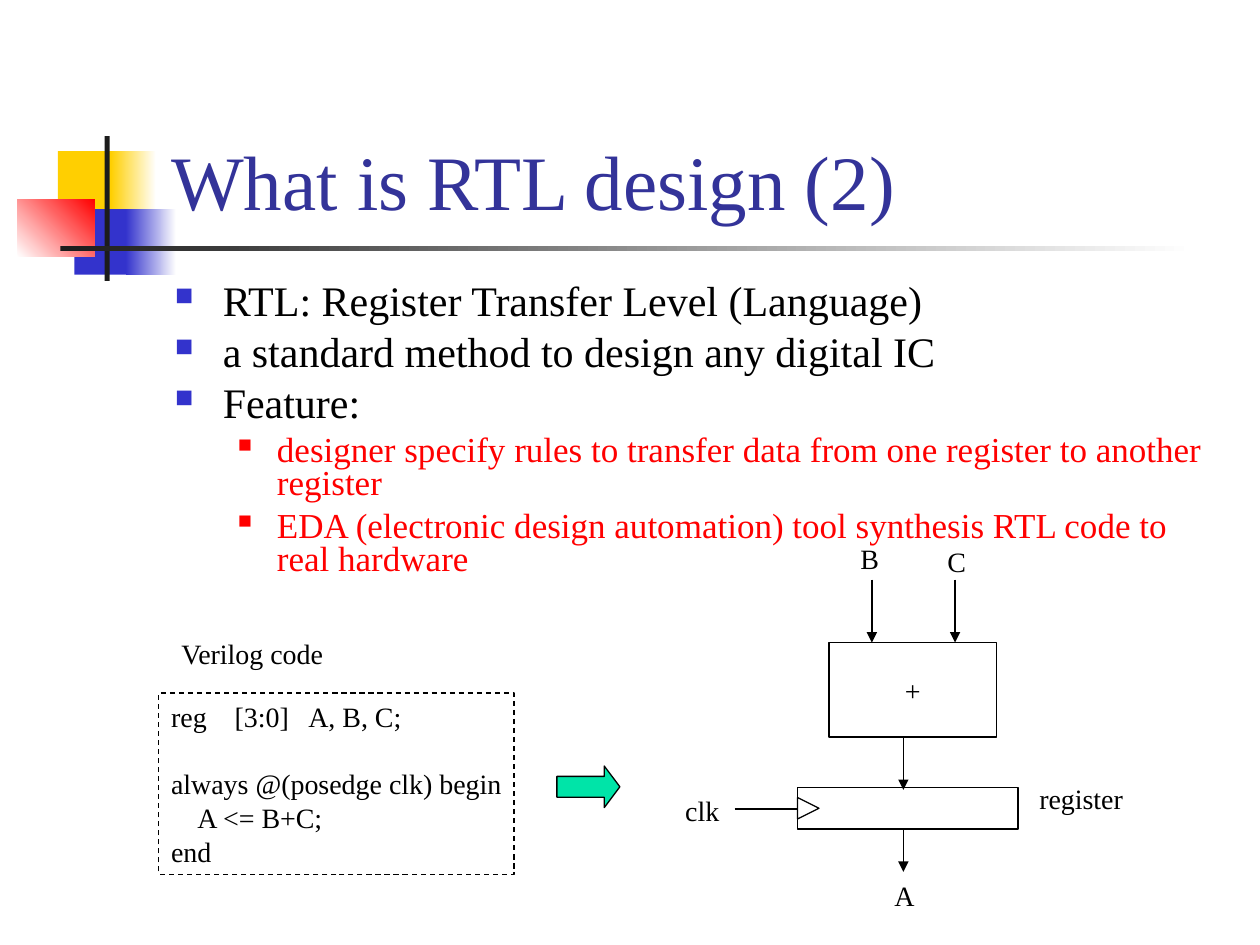
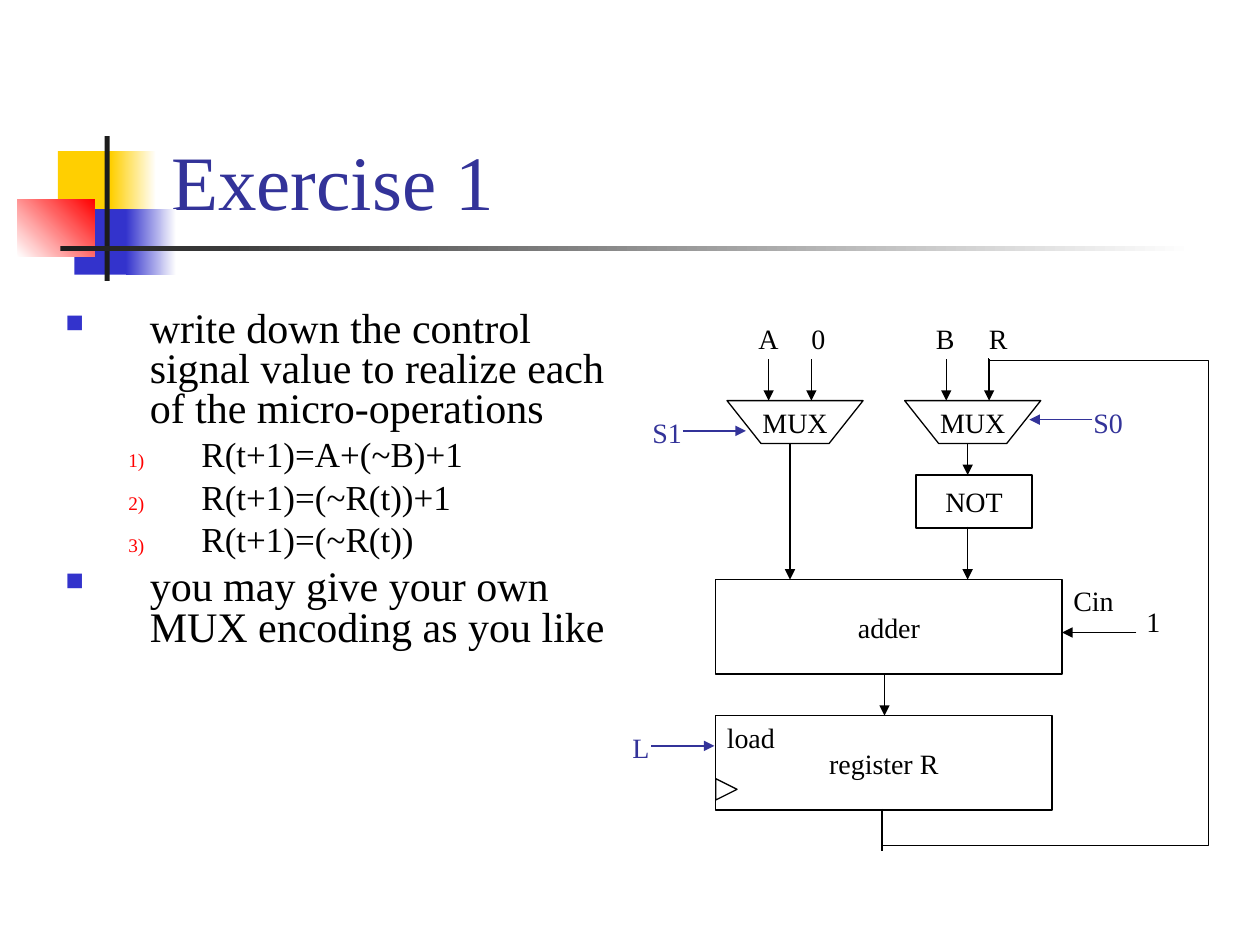
from dataclasses import dataclass
from typing import Optional

from lxml import etree
from pptx import Presentation
from pptx import util as u
from pptx.dml.color import RGBColor
from pptx.enum import dml, shapes, text
from pptx.oxml.ns import qn

FONT = "Times New Roman"
BLACK = RGBColor(0x00, 0x00, 0x00)
WHITE = RGBColor(0xFF, 0xFF, 0xFF)
CHARCOAL = RGBColor(0x1C, 0x1C, 0x1C)
YELLOW = RGBColor(0xFF, 0xCF, 0x01)
BLUE = RGBColor(0x33, 0x33, 0xCC)
RED = RGBColor(0xFF, 0x00, 0x00)
NAVY = RGBColor(0x33, 0x33, 0x99)
GREEN = RGBColor(0x00, 0xE4, 0xA8)
LINE_WIDTH = u.Pt(0.75)
LABEL_HEIGHT = 0.37
CLOCK_SIZE = 0.17


@dataclass(frozen=True)
class BandPart:
    left: float
    top: float
    width: float
    height: float
    color: RGBColor
    fade_to: Optional[RGBColor] = None
    angle: int = 0


@dataclass(frozen=True)
class Block:
    left: float
    top: float
    width: float
    height: float
    caption: str = ""


@dataclass(frozen=True)
class Label:
    caption: str
    left: float
    top: float
    width: float
    color: RGBColor = BLACK


@dataclass(frozen=True)
class Wire:
    x1: float
    y1: float
    x2: float
    y2: float
    color: RGBColor = BLACK
    arrow: bool = True


@dataclass(frozen=True)
class Level:
    size: int
    margin: float
    hanging: float
    before: int
    bullet_percent: int
    bullet_color: RGBColor
    color: RGBColor = BLACK
    numbered: bool = False


@dataclass(frozen=True)
class Point:
    caption: str
    level: Level


BAND = [
    BandPart(0.46, 1.2, 0.48, 0.52, YELLOW),
    BandPart(0.88, 1.2, 0.36, 0.52, YELLOW, WHITE),
    BandPart(0.59, 1.66, 0.46, 0.52, BLUE),
    BandPart(1, 1.66, 0.4, 0.52, BLUE, WHITE),
    BandPart(0.14, 1.58, 0.61, 0.46, WHITE, RED, 45),
    BandPart(0.83, 1.08, 0.04, 1.15, CHARCOAL),
    BandPart(0.48, 1.95, 9, 0.04, CHARCOAL, WHITE),
]

TOPIC = Level(24, 0.38, 0.38, 6, 60, BLUE)
FEATURE = Level(20, 0.81, 0.31, 5, 55, RED, RED)
TASK = Level(24, 0.67, 0.67, 6, 60, BLUE)
OPERATION = Level(20, 1.08, 0.58, 5, 55, RED, numbered=True)

RTL_POINTS = [
    Point("RTL: Register Transfer Level (Language)", TOPIC),
    Point("a standard method to design any digital IC", TOPIC),
    Point("Feature:", TOPIC),
    Point("designer specify rules to transfer data from one register to another register", FEATURE),
    Point("EDA (electronic design automation) tool synthesis RTL code to real hardware", FEATURE),
]
VERILOG = ["reg    [3:0]   A, B, C;", "always @(posedge clk) begin", "    A <= B+C;", "end"]
RTL_BLOCKS = [Block(6.58, 5.1, 1.33, 0.75, "+"), Block(6.33, 6.25, 1.75, 0.33)]
RTL_WIRES = [
    Wire(6.92, 4.6, 6.92, 5.1),
    Wire(7.58, 4.6, 7.58, 5.1),
    Wire(7.17, 5.85, 7.17, 6.27),
    Wire(7.17, 6.58, 7.17, 6.92),
    Wire(5.83, 6.42, 6.33, 6.42, arrow=False),
]
RTL_LABELS = [
    Label("Verilog code", 1.34, 5, 1.35),
    Label("B", 6.73, 4.25, 0.35),
    Label("C", 7.42, 4.27, 0.35),
    Label("A", 7, 6.92, 0.36),
    Label("clk", 5.34, 6.25, 0.47),
    Label("register", 8.15, 6.15, 0.88),
]

EXERCISE_POINTS = [
    Point("write down the control signal value to realize each of the micro-operations", TASK),
    Point("R(t+1)=A+(~B)+1", OPERATION),
    Point("R(t+1)=(~R(t))+1", OPERATION),
    Point("R(t+1)=(~R(t))", OPERATION),
    Point("you may give your own MUX encoding as you like", TASK),
]
EXERCISE_BLOCKS = [
    Block(7.27, 3.77, 0.92, 0.42, "NOT"),
    Block(5.68, 4.6, 2.75, 0.75, "adder"),
    Block(5.68, 5.68, 2.67, 0.75, "register R"),
]
EXERCISE_WIRES = [
    Wire(6.27, 3.52, 6.27, 4.6),
    Wire(7.68, 3.52, 7.68, 3.77),
    Wire(7.68, 4.18, 7.68, 4.6),
    Wire(9.02, 5.02, 8.43, 5.02),
    Wire(7.02, 5.35, 7.02, 5.68),
    Wire(7, 6.42, 7, 6.75, arrow=False),
    Wire(5.17, 5.92, 5.67, 5.92, NAVY),
    Wire(5.42, 3.42, 5.92, 3.42, NAVY),
    Wire(8.67, 3.33, 8.17, 3.33, NAVY),
]
EXERCISE_LABELS = [
    Label("Cin", 8.42, 4.58, 0.52),
    Label("1", 9, 4.75, 0.31),
    Label("load", 5.67, 5.67, 0.58),
    Label("L", 4.92, 5.75, 0.33, NAVY),
    Label("S1", 5.08, 3.25, 0.45, NAVY),
    Label("S0", 8.58, 3.17, 0.45, NAVY),
]


def box(*lengths: float) -> list:
    return [u.Inches(length) for length in lengths]


def style_runs(paragraph, size: int, color: RGBColor) -> None:
    for run in paragraph.runs:
        run.font.name = FONT
        run.font.size = u.Pt(size)
        run.font.color.rgb = color


def outline(shape) -> None:
    shape.shadow.inherit = False
    shape.fill.background()
    shape.line.color.rgb = BLACK
    shape.line.width = LINE_WIDTH


def center_caption(shape, caption: str) -> None:
    frame = shape.text_frame
    frame.text = caption
    frame.word_wrap = False
    frame.vertical_anchor = text.MSO_ANCHOR.MIDDLE
    frame.paragraphs[0].alignment = text.PP_ALIGN.CENTER
    style_runs(frame.paragraphs[0], 16, BLACK)


def draw_band_part(slide, part: BandPart) -> None:
    area = box(part.left, part.top, part.width, part.height)
    shape = slide.shapes.add_shape(shapes.MSO_SHAPE.RECTANGLE, *area)
    shape.shadow.inherit = False
    shape.line.fill.background()
    if part.fade_to is None:
        shape.fill.solid()
        shape.fill.fore_color.rgb = part.color
        return
    shape.fill.gradient()
    shape.fill.gradient_angle = part.angle
    for stop, color, position in zip(shape.fill.gradient_stops, (part.color, part.fade_to), (0, 1)):
        stop.color.rgb = color
        stop.position = position


def draw_block(slide, block: Block):
    area = box(block.left, block.top, block.width, block.height)
    shape = slide.shapes.add_shape(shapes.MSO_SHAPE.RECTANGLE, *area)
    outline(shape)
    if block.caption:
        center_caption(shape, block.caption)
    return shape


def draw_label(slide, label: Label) -> None:
    area = box(label.left, label.top, label.width, LABEL_HEIGHT)
    frame = slide.shapes.add_textbox(*area).text_frame
    frame.word_wrap = False
    frame.auto_size = text.MSO_AUTO_SIZE.SHAPE_TO_FIT_TEXT
    frame.text = label.caption
    style_runs(frame.paragraphs[0], 16, label.color)


def draw_wire(slide, wire: Wire, kind=shapes.MSO_CONNECTOR.STRAIGHT):
    connector = slide.shapes.add_connector(kind, *box(wire.x1, wire.y1, wire.x2, wire.y2))
    connector.line.color.rgb = wire.color
    connector.line.width = LINE_WIDTH
    properties = connector._element.spPr
    if wire.arrow:
        etree.SubElement(properties.find(qn("a:ln")), qn("a:tailEnd"), type="triangle")
    etree.SubElement(properties, qn("a:effectLst"))
    return connector


def draw_feedback(slide) -> None:
    wire = Wire(5.47, 4.37, 9.37, 5.22, arrow=False)
    properties = draw_wire(slide, wire, shapes.MSO_CONNECTOR.ELBOW)._element.spPr
    properties.find(qn("a:xfrm")).set("rot", "5400000")
    geometry = properties.find(qn("a:prstGeom"))
    geometry.set("prst", "bentConnector5")
    for number, bend in enumerate((400, -205500, 99200), start=1):
        etree.SubElement(geometry.find(qn("a:avLst")), qn("a:gd"), name=f"adj{number}", fmla=f"val {bend}")


def draw_clock_mark(slide, left: float, top: float) -> None:
    area = box(left, top, CLOCK_SIZE, CLOCK_SIZE)
    mark = slide.shapes.add_shape(shapes.MSO_SHAPE.ISOSCELES_TRIANGLE, *area)
    mark.rotation = 90
    outline(mark)


def draw_mux(slide, left: float, inputs: str) -> None:
    top, bottom, width, slant = 3.18, 3.52, 1.08, 0.27
    builder = slide.shapes.build_freeform(*box(left, top))
    corners = [(left + slant, bottom), (left + width - slant, bottom), (left + width, top)]
    builder.add_line_segments([box(*corner) for corner in corners], close=True)
    mux = builder.convert_to_shape()
    outline(mux)
    center_caption(mux, "MUX")
    for signal, wire_at, label_at in zip(inputs, (0.33, 0.67), (0.15, 0.57)):
        draw_wire(slide, Wire(left + wire_at, 2.85, left + wire_at, top))
        draw_label(slide, Label(signal, left + label_at, 2.5, 0.35))


def draw_points(slide, area: list, points: list[Point]) -> None:
    frame = slide.shapes.add_textbox(*area).text_frame
    frame.word_wrap = True
    for index, point in enumerate(points):
        paragraph = frame.add_paragraph() if index else frame.paragraphs[0]
        level = point.level
        paragraph.text = point.caption
        properties = paragraph._p.get_or_add_pPr()
        properties.set("marL", str(u.Inches(level.margin)))
        properties.set("indent", str(-u.Inches(level.hanging)))
        bullet_color = etree.SubElement(properties, qn("a:buClr"))
        etree.SubElement(bullet_color, qn("a:srgbClr"), val=str(level.bullet_color))
        etree.SubElement(properties, qn("a:buSzPct"), val=str(level.bullet_percent * 1000))
        if level.numbered:
            etree.SubElement(properties, qn("a:buAutoNum"), type="arabicParenR")
        else:
            etree.SubElement(properties, qn("a:buChar"), char="■")
        paragraph.line_spacing = 0.8
        paragraph.space_before = u.Pt(level.before if index else 0)
        style_runs(paragraph, level.size, level.color)


def draw_code(slide) -> None:
    listing = draw_block(slide, Block(1.26, 5.5, 2.82, 1.44))
    listing.line.dash_style = dml.MSO_LINE.DASH
    frame = listing.text_frame
    frame.word_wrap = False
    frame.vertical_anchor = text.MSO_ANCHOR.TOP
    frame.text = "\n".join(VERILOG)
    for paragraph in frame.paragraphs:
        paragraph.alignment = text.PP_ALIGN.LEFT
        style_runs(paragraph, 16, BLACK)
    frame.paragraphs[1].space_before = u.Pt(19.5)


def draw_diagram(slide, blocks: list[Block], wires: list[Wire], labels: list[Label]) -> None:
    for draw, parts in ((draw_block, blocks), (draw_wire, wires), (draw_label, labels)):
        for part in parts:
            draw(slide, part)


def add_slide(deck, heading: str):
    slide = deck.slides.add_slide(deck.slide_layouts[5])
    for part in BAND:
        draw_band_part(slide, part)
    title = slide.shapes.title
    title.left, title.top, title.width, title.height = box(1.26, 0.24, 8.52, 1.6)
    title.text_frame.text = heading
    title.text_frame.vertical_anchor = text.MSO_ANCHOR.BOTTOM
    title.text_frame.paragraphs[0].alignment = text.PP_ALIGN.LEFT
    style_runs(title.text_frame.paragraphs[0], 44, NAVY)
    return slide


def main() -> None:
    deck = Presentation()
    deck.slide_width, deck.slide_height = box(10, 7.5)

    rtl = add_slide(deck, "What is RTL design (2)")
    draw_points(rtl, box(1.29, 2.21, 8.5, 2.54), RTL_POINTS)
    draw_code(rtl)
    draw_diagram(rtl, RTL_BLOCKS, RTL_WIRES, RTL_LABELS)
    draw_clock_mark(rtl, 6.33, 6.33)
    synthesis = rtl.shapes.add_shape(shapes.MSO_SHAPE.RIGHT_ARROW, *box(4.42, 6.08, 0.5, 0.33))
    outline(synthesis)
    synthesis.adjustments[1] = 0.375
    synthesis.fill.solid()
    synthesis.fill.fore_color.rgb = GREEN

    exercise = add_slide(deck, "Exercise 1")
    draw_points(exercise, box(0.42, 2.42, 4.58, 2.83), EXERCISE_POINTS)
    draw_mux(exercise, 5.77, "A0")
    draw_mux(exercise, 7.18, "BR")
    draw_diagram(exercise, EXERCISE_BLOCKS, EXERCISE_WIRES, EXERCISE_LABELS)
    draw_clock_mark(exercise, 5.68, 6.18)
    draw_feedback(exercise)

    deck.save("out.pptx")


if __name__ == "__main__":
    main()
